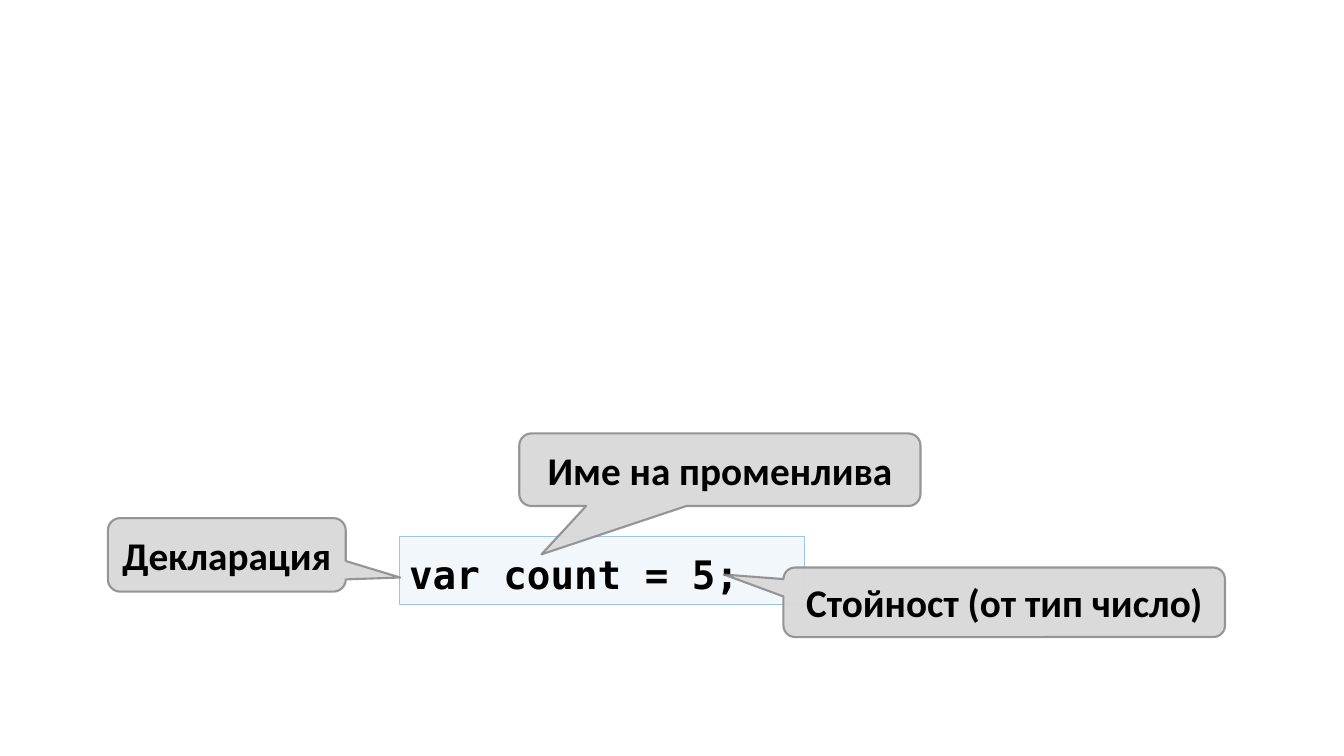
from dataclasses import dataclass

from lxml.etree import SubElement
from pptx import Presentation
from pptx.dml.color import RGBColor
from pptx.enum.shapes import MSO_SHAPE as Shape
from pptx.enum.text import MSO_ANCHOR as Anchor, MSO_AUTO_SIZE as AutoSize, PP_ALIGN as Align
from pptx.oxml.ns import qn
from pptx.util import Inches, Pt


@dataclass(frozen=True)
class Theme:
    """Colours, fonts and type size of the slide."""
    code_fill: str = "BDD7EE"
    code_line: str = "9DC3E6"
    note_fill: str = "D9D9D9"
    note_line: str = "808080"
    ink: str = "000000"
    code_font: str = "DejaVu Sans Mono"
    note_font: str = "Calibri"
    size: int = 28


THEME = Theme()


def paint(paint_format, colour, opacity):
    """Apply a solid colour with an opacity in percent."""
    paint_format.solid()
    paint_format.fore_color.rgb = RGBColor.from_string(colour)
    for srgb in paint_format._xPr.iter(qn("a:srgbClr")):
        if srgb.getparent().getparent() is paint_format._xPr:
            SubElement(srgb, qn("a:alpha")).set("val", str(opacity * 1000))


def add_panel(slide, preset, box, fill, line, line_width, line_opacity=100):
    """Add a filled and outlined shape in the given box."""
    panel = slide.shapes.add_shape(preset, *map(Inches, box))
    panel.shadow.inherit = False
    paint(panel.fill, *fill)
    panel.line.width = Pt(line_width)
    paint(panel.line.fill, line, line_opacity)
    return panel


def write(panel, wording, font_name, align, anchor):
    """Write one bold line into a panel."""
    frame = panel.text_frame
    frame.word_wrap = True
    frame.vertical_anchor = anchor
    line = frame.paragraphs[0]
    line.alignment = align
    run = line.add_run()
    run.text = wording
    run.font.name = font_name
    run.font.size = Pt(THEME.size)
    run.font.bold = True
    run.font.color.rgb = RGBColor.from_string(THEME.ink)
    return line


def add_code(slide, box, statement):
    """Add the code statement on its tinted panel."""
    code = add_panel(slide, Shape.RECTANGLE, box, (THEME.code_fill, 20), THEME.code_line, 1)
    write(code, statement, THEME.code_font, Align.LEFT, Anchor.TOP).line_spacing = 1.2
    code.text_frame.auto_size = AutoSize.SHAPE_TO_FIT_TEXT


def add_callout(slide, box, tip, wording):
    """Add a rounded callout whose tail ends at the given point."""
    left, top, width, height = box
    callout = add_panel(slide, Shape.ROUNDED_RECTANGULAR_CALLOUT, box,
                        (THEME.note_fill, 95), THEME.note_line, 1.5, 80)
    callout.adjustments[0] = (tip[0] - left) / width - 0.5
    callout.adjustments[1] = (tip[1] - top) / height - 0.5
    callout.text_frame.margin_left = callout.text_frame.margin_right = 0
    write(callout, wording, THEME.note_font, Align.CENTER, Anchor.MIDDLE)


def build_variable_slide(deck):
    """Build the slide that labels the parts of a variable declaration."""
    slide = deck.slides.add_slide(deck.slide_layouts[6])
    add_code(slide, (3.96, 5.32, 4.02, 0.68), "var count = 5;")
    labels = (
        ((1.07, 5.14, 2.36, 0.73), (3.97, 5.73), "Декларация"),
        ((5.15, 4.3, 3.98, 0.72), (5.37, 5.5), "Име на променлива"),
        ((7.77, 5.63, 4.38, 0.69), (7.18, 5.7), "Стойност (от тип число)"),
    )
    for box, tip, wording in labels:
        add_callout(slide, box, tip, wording)


deck = Presentation()
deck.slide_width, deck.slide_height = Inches(13.33), Inches(7.5)
build_variable_slide(deck)
deck.save("out.pptx")
